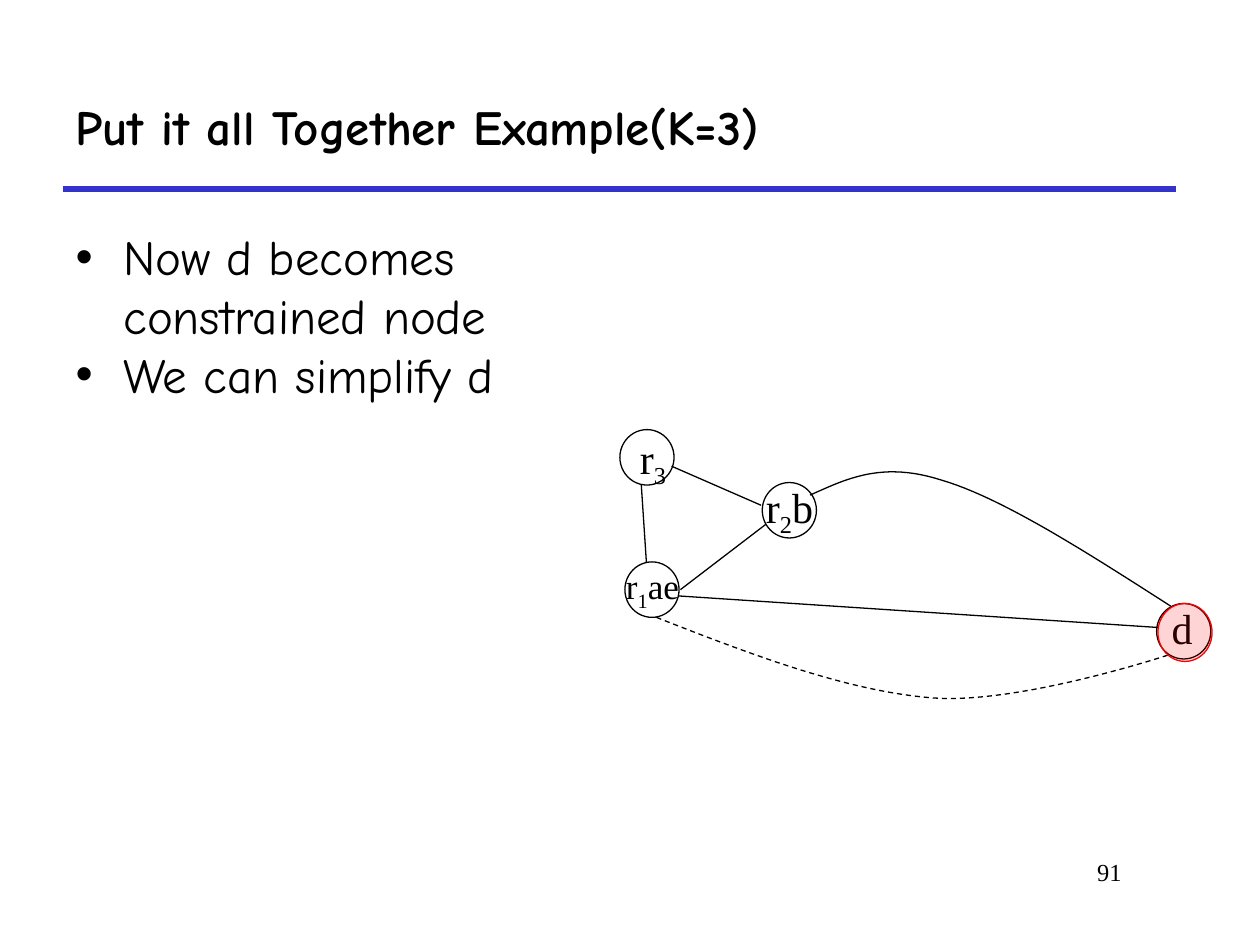
from dataclasses import dataclass

from lxml import etree
from pptx import Presentation
from pptx.dml.color import RGBColor
from pptx.enum.dml import MSO_LINE
from pptx.enum.shapes import MSO_CONNECTOR, MSO_SHAPE
from pptx.enum.text import MSO_ANCHOR, MSO_AUTO_SIZE, PP_ALIGN
from pptx.oxml.ns import qn
from pptx.util import Emu, Inches, Pt

BLACK = RGBColor(0x00, 0x00, 0x00)
BLUE = RGBColor(0x33, 0x33, 0xCC)
RED = RGBColor(0xFF, 0x00, 0x00)
TITLE_FONT, LABEL_FONT = "Comic Neue", "Times New Roman"
STRAIGHT, ELLIPSE, DASH = MSO_CONNECTOR.STRAIGHT, MSO_SHAPE.OVAL, MSO_LINE.DASH
MIDDLE, TOP = MSO_ANCHOR.MIDDLE, MSO_ANCHOR.TOP
NO_AUTOFIT, GROW = MSO_AUTO_SIZE.NONE, MSO_AUTO_SIZE.SHAPE_TO_FIT_TEXT
LEFT, RIGHT = PP_ALIGN.LEFT, PP_ALIGN.RIGHT

# Grid of 100 columns by 75 rows
CELL = Inches(10) // 100
NODE_WIDTH, NODE_HEIGHT = 4.3, 4.4
CURVE_STEPS = 24

Point = tuple[float, float]
Box = tuple[float, float, float, float]


@dataclass(frozen=True)
class Node:
    corner: Point
    label_box: Box
    label: tuple[str, ...]  # base, subscript, base
    size: int = 24


@dataclass(frozen=True)
class Curve:
    start: Point
    segments: tuple[tuple[Point, Point, Point], ...]
    dashed: bool = False


NODES = (
    Node((49.2, 34.1), (49.8, 33.8, 4.1, 5.6), ("r", "3")),
    Node((49.6, 44.6), (48.7, 44.3, 6.3, 4.8), ("r", "1", "ae"), 20),
    Node((60.5, 38.3), (59.8, 37.7, 6.1, 5.6), ("r", "2", "b")),
    Node((91.8, 47.9), (92, 47.3, 3.6, 5), ("d",)),
)
EDGES = (
    ((53.3, 37), (60.4, 40.1)),
    ((50.9, 38.5), (51.3, 44.6)),
    ((54, 46.8), (60.8, 41.6)),
    ((53.9, 47.3), (91.9, 49.8)),
)
CURVES = (
    Curve((52.1, 49), (((59.7, 52), (67.4, 54.9), (74.1, 55.4)),
                       ((80.9, 55.9), (92.7, 52), (92.7, 52))), True),
    Curve((64.3, 39.3), (((67.2, 38), (70, 36.6), (74.7, 38.1)),
                         ((79.5, 39.5), (86.2, 43.8), (92.9, 48.1)))),
)
BULLETS = ("Now d becomes constrained node", "We can simplify d")


def cells(*counts: float) -> list[Emu]:
    return [Emu(round(count * CELL)) for count in counts]


def place(shape, box: Box) -> None:
    shape.left, shape.top, shape.width, shape.height = cells(*box)


def add_run(paragraph, text: str, font: str, size: int, bold: bool = False):
    run = paragraph.add_run()
    run.text = text
    run.font.name, run.font.size, run.font.bold = font, Pt(size), bold
    run.font.color.rgb = BLACK
    return run


def add_line(slide, start: Point, end: Point, color: RGBColor = BLACK, width: float = 0.75) -> None:
    line = slide.shapes.add_connector(STRAIGHT, *cells(*start, *end))
    line.line.color.rgb, line.line.width = color, Pt(width)
    etree.SubElement(line._element.spPr, qn("a:effectLst"))


def outline(shape, color: RGBColor = BLACK) -> None:
    shape.shadow.inherit = False
    shape.fill.background()
    shape.line.color.rgb, shape.line.width = color, Pt(0.75)


def add_node(slide, node: Node) -> None:
    circle = slide.shapes.add_shape(ELLIPSE, *cells(*node.corner, NODE_WIDTH, NODE_HEIGHT))
    outline(circle)
    frame = slide.shapes.add_textbox(*cells(*node.label_box)).text_frame
    frame.word_wrap, frame.auto_size = False, GROW
    for index, text in enumerate(node.label):
        run = add_run(frame.paragraphs[0], text, LABEL_FONT, node.size)
        if index == 1:
            run.font._element.set("baseline", "-25000")


def bezier_point(points: tuple[Point, ...], t: float) -> Point:
    weights = ((1 - t) ** 3, 3 * t * (1 - t) ** 2, 3 * t * t * (1 - t), t ** 3)
    return tuple(sum(w * p[axis] for w, p in zip(weights, points)) for axis in (0, 1))


def add_curve(slide, curve: Curve) -> None:
    builder = slide.shapes.build_freeform(*cells(*curve.start))
    start = curve.start
    for segment in curve.segments:
        points = (start, *segment)
        builder.add_line_segments(
            [cells(*bezier_point(points, step / CURVE_STEPS))
             for step in range(1, CURVE_STEPS + 1)], close=False)
        start = segment[-1]
    shape = builder.convert_to_shape()
    outline(shape)
    if curve.dashed:
        shape.line.dash_style = DASH


def add_highlight(slide, box: Box) -> None:
    shape = slide.shapes.add_shape(ELLIPSE, *cells(*box))
    outline(shape, RED)
    shape.fill.solid()
    shape.fill.fore_color.rgb = RED
    color = shape._element.spPr.find(qn("a:solidFill"))[0]
    etree.SubElement(color, qn("a:alpha"), val="17000")


def fill_title(title) -> None:
    place(title, (5, 5, 88.3, 10))
    frame = title.text_frame
    frame.vertical_anchor, frame.auto_size = MIDDLE, NO_AUTOFIT
    frame.paragraphs[0].alignment = LEFT
    add_run(frame.paragraphs[0], "Put it all Together Example(K=3)", TITLE_FONT, 28, True)


def fill_body(body) -> None:
    place(body, (5, 17.5, 47.7, 50.8))
    frame = body.text_frame
    frame.vertical_anchor, frame.auto_size = TOP, NO_AUTOFIT
    for index, text in enumerate(BULLETS):
        paragraph = frame.add_paragraph() if index else frame.paragraphs[0]
        paragraph.space_before = Pt(0)
        properties = paragraph._p.get_or_add_pPr()
        properties.set("marL", str(Inches(0.38)))
        properties.set("indent", str(-Inches(0.38)))
        etree.SubElement(properties, qn("a:buChar"), char="•")
        add_run(paragraph, text, TITLE_FONT, 28)


def main() -> None:
    presentation = Presentation()
    presentation.slide_width, presentation.slide_height = cells(100, 75)
    slide = presentation.slides.add_slide(presentation.slide_layouts[1])

    # Heading, rule, list and page number
    add_line(slide, (5, 15), (93.3, 15), BLUE, 3)
    fill_title(slide.shapes.title)
    fill_body(slide.placeholders[1])
    number = slide.shapes.add_textbox(*cells(69.2, 67.5, 20.8, 5)).text_frame
    number.word_wrap = True
    number.paragraphs[0].alignment = RIGHT
    add_run(number.paragraphs[0], "91", LABEL_FONT, 14)

    # Interference graph
    for node in NODES:
        add_node(slide, node)
    for start, end in EDGES:
        add_line(slide, start, end)
    for curve in CURVES:
        add_curve(slide, curve)
    add_highlight(slide, (91.9, 47.9, 4.3, 4.6))

    presentation.save("out.pptx")


if __name__ == "__main__":
    main()
